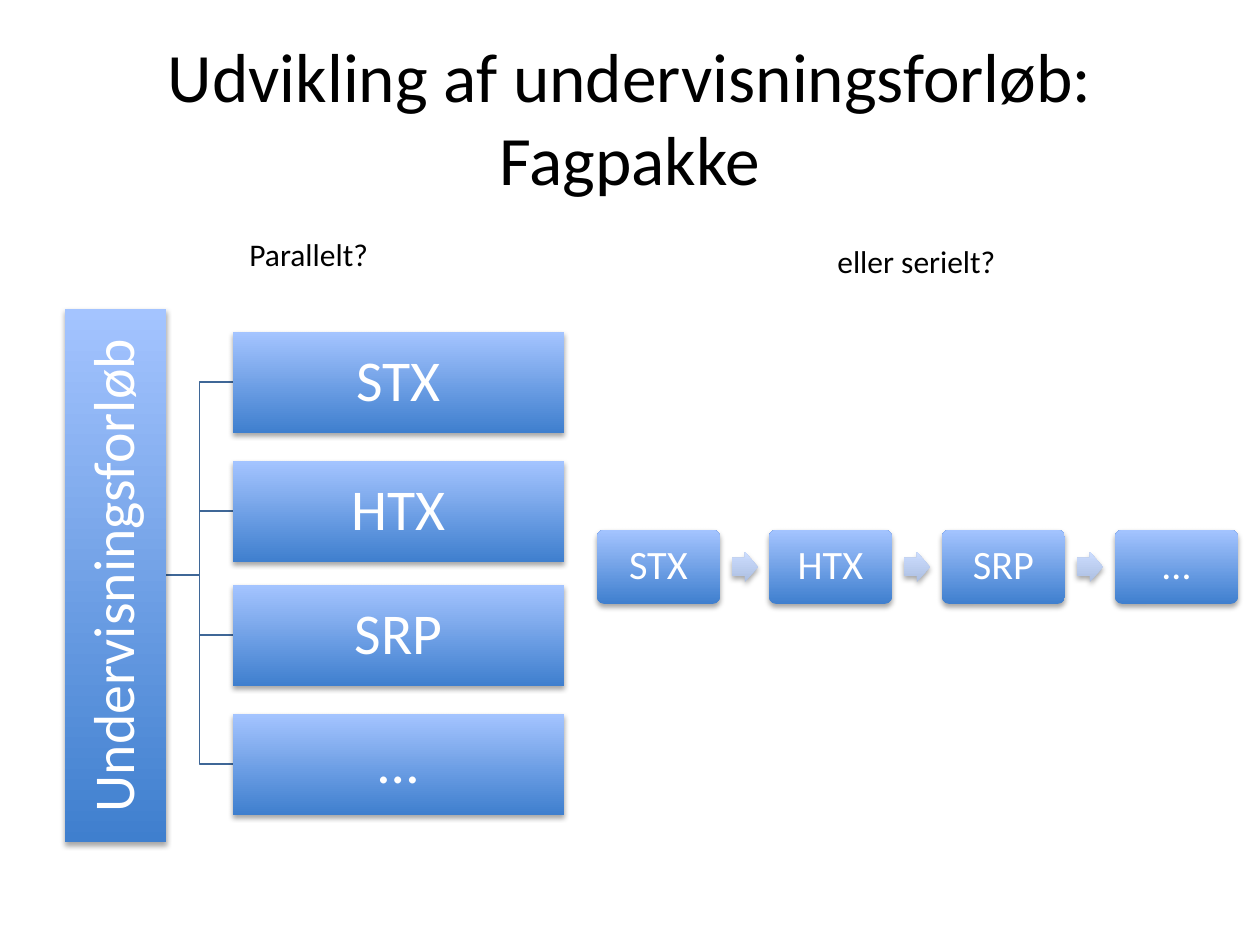
import dataclasses

import pptx
import pptx.dml.color
import pptx.enum.shapes
import pptx.enum.text
import pptx.oxml
import pptx.oxml.ns
import pptx.util

PX = 914400 // 126
SHAPE = pptx.enum.shapes.MSO_SHAPE
ALIGN = pptx.enum.text.PP_ALIGN
ANCHOR = pptx.enum.text.MSO_ANCHOR
AUTO = pptx.enum.text.MSO_AUTO_SIZE


@dataclasses.dataclass(frozen=True)
class Theme:
    """Colours, font and type sizes of the slide."""
    font: str = "Calibri"
    ink: str = "000000"
    on_box: str = "FFFFFF"
    box: tuple = ("3F7FCE", "A4C4FF")
    arrow: tuple = ("ADBFE1", "CCDDFF")
    line: str = "3F6797"
    title: float = 39.6
    branch: float = 33
    step: float = 23
    label: float = 18


T = Theme()


def rgb(code):
    """Turn a hex code into a colour."""
    return pptx.dml.color.RGBColor.from_string(code)


def px(*lengths):
    """Turn picture pixels into EMU."""
    return [pptx.util.Emu(n * PX) for n in lengths]


def write(tf, text, size, color, align=ALIGN.CENTER, spacing=1.0):
    """Set and format the single paragraph of a text frame."""
    tf.text = text
    p = tf.paragraphs[0]
    p.alignment, p.line_spacing = align, spacing
    font = p.runs[0].font
    font.name, font.size = T.font, pptx.util.Pt(size)
    font.color.rgb = rgb(color)


def add_effects(sp, effects=""):
    """Append an effect list to a shape or connector."""
    ns = pptx.oxml.ns.nsdecls("a")
    xml = f"<a:effectLst {ns}>{effects}</a:effectLst>"
    sp._element.spPr.append(pptx.oxml.parse_xml(xml))


def add_block(slide, kind, box, colors, adjustments=()):
    """Add a preset shape with an upward gradient and a soft shadow."""
    sp = slide.shapes.add_shape(kind, *px(*box))
    for i, value in enumerate(adjustments):
        sp.adjustments[i] = value
    sp.fill.gradient()
    sp.fill.gradient_angle = 90
    for stop, color in zip(sp.fill.gradient_stops, colors):
        stop.color.rgb = rgb(color)
    sp._element.spPr.find(pptx.oxml.ns.qn("a:gradFill")).set("rotWithShape", "0")
    sp.line.fill.background()
    add_effects(sp, '<a:outerShdw blurRad="39370" dist="22860" dir="5400000" '
                    'rotWithShape="0"><a:srgbClr val="000000">'
                    '<a:alpha val="35000"/></a:srgbClr></a:outerShdw>')
    return sp


def add_box(slide, kind, box, text, size, inset, adjustments=()):
    """Add a gradient block with centred text."""
    sp = add_block(slide, kind, box, T.box, adjustments)
    tf = sp.text_frame
    tf.word_wrap, tf.vertical_anchor = True, ANCHOR.MIDDLE
    tf.margin_left = tf.margin_right = pptx.util.Inches(inset)
    tf.margin_top = tf.margin_bottom = pptx.util.Inches(inset)
    write(tf, text, size, T.on_box, spacing=0.9)
    return sp


def add_elbow(slide, x1, y1, x2, y2):
    """Add a thin elbow connector."""
    kind = pptx.enum.shapes.MSO_CONNECTOR.ELBOW
    if y1 == y2:
        kind = pptx.enum.shapes.MSO_CONNECTOR.STRAIGHT
    cxn = slide.shapes.add_connector(kind, *px(x1, y1, x2, y2))
    cxn.line.color.rgb = rgb(T.line)
    cxn.line.width = pptx.util.Pt(0.75)
    add_effects(cxn)


def add_label(slide, box, text):
    """Add an unwrapped line of text."""
    tf = slide.shapes.add_textbox(*px(*box)).text_frame
    tf.word_wrap, tf.auto_size = False, AUTO.SHAPE_TO_FIT_TEXT
    write(tf, text, T.label, T.ink, ALIGN.LEFT)


def set_title(slide, box, text):
    """Place and format the title placeholder."""
    sp = slide.shapes.title
    sp.left, sp.top, sp.width, sp.height = px(*box)
    tf = sp.text_frame
    tf.word_wrap, tf.auto_size = True, AUTO.NONE
    tf.vertical_anchor = ANCHOR.MIDDLE
    write(tf, text, T.title, T.ink)


def add_chain(slide, names):
    """Add the serial steps with arrows between them."""
    for i, name in enumerate(names):
        x = 597 + i * 518 // 3
        add_box(slide, SHAPE.ROUNDED_RECTANGLE, (x, 530, 123, 74), name,
                T.step, 0.12, [0.1])
        if i < len(names) - 1:
            add_block(slide, SHAPE.RIGHT_ARROW, (x + 135, 552, 26, 30),
                      T.arrow, [0.6, 0.5])


def add_tree(slide, root, names):
    """Add the upright root bar and its parallel branches."""
    height, tops = 101, (332, 461, 585, 714)
    for top in tops:
        add_elbow(slide, 166, 575, 233, top + height // 2)
    bar = add_box(slide, SHAPE.RECTANGLE, (-151, 525, 533, height), root,
                  T.branch, 0.02)
    bar.rotation = 270
    for top, name in zip(tops, names):
        add_box(slide, SHAPE.RECTANGLE, (233, top, 331, height), name,
                T.branch, 0.02)


def main():
    """Build and save the slide."""
    prs = pptx.Presentation()
    prs.slide_width, prs.slide_height = px(1260, 945)
    slide = prs.slides.add_slide(prs.slide_layouts[5])
    names = ("STX", "HTX", "SRP", "…")
    set_title(slide, (63, 38, 1134, 157),
              "Udvikling af undervisningsforløb: Fagpakke")
    add_chain(slide, names)
    add_tree(slide, "Undervisningsforløb", names)
    add_label(slide, (237, 229, 157, 50), "Parallelt?")
    add_label(slide, (825, 236, 197, 50), "eller serielt?")
    prs.save("out.pptx")


main()
